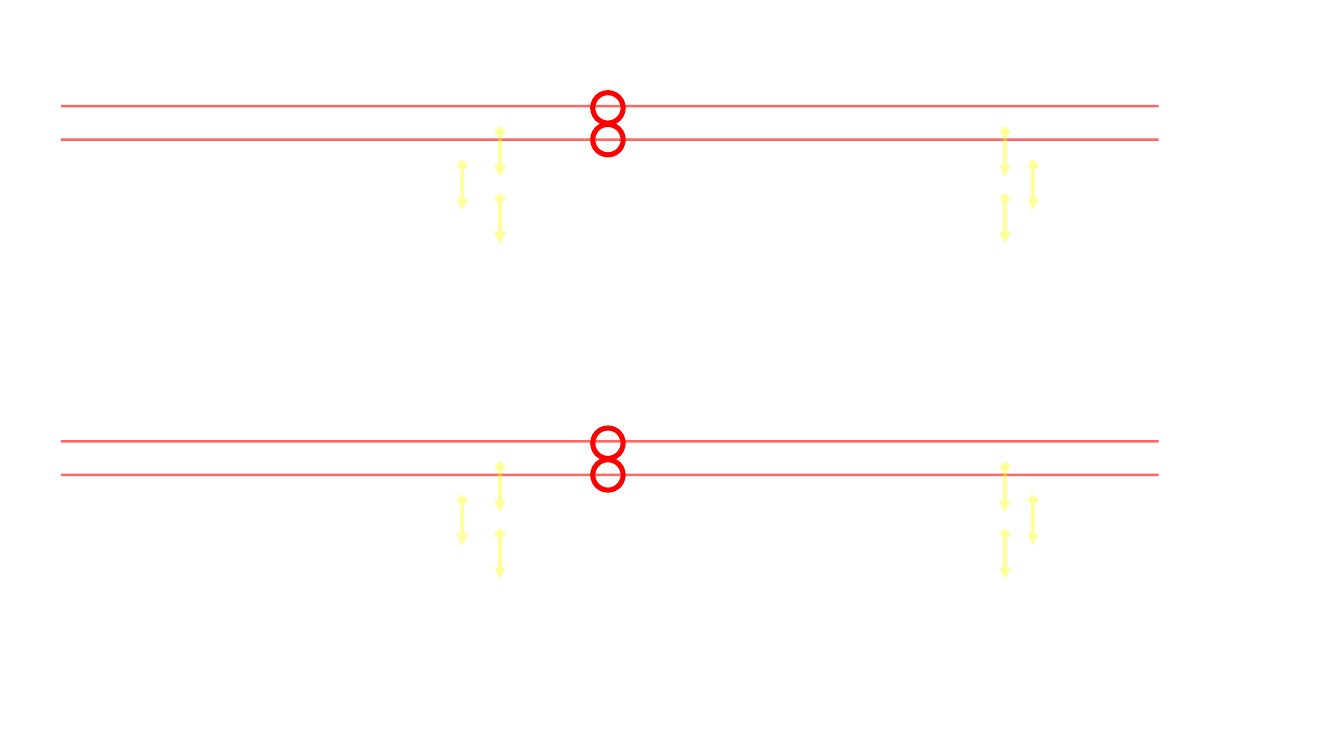
from lxml.etree import SubElement
from pptx import Presentation
from pptx.dml.color import RGBColor
from pptx.enum.shapes import MSO_CONNECTOR as Connector, MSO_SHAPE as Shape
from pptx.oxml.ns import qn
from pptx.util import Inches, Pt


def color(value):
    return RGBColor.from_string(value)


class Painter:
    beam = {"color": "FF0000", "width": 1.5, "opacity": 60}
    arrow = {"color": "FFFF00", "width": 2.3, "opacity": 40,
             "ends": {"headEnd": "diamond", "tailEnd": "triangle"}}
    ring = {"color": "FF0000", "width": 3}

    def __init__(self, page):
        self.page = page

    def stroke(self, shape, style):
        shape.line.fill.solid()
        shape.line.fill.fore_color.rgb = color(style["color"])
        for name, value in {"width": Pt(style["width"])}.items():
            setattr(shape.line, name, value)
        outline = shape.line._get_or_add_ln()
        if "opacity" in style:
            tint = outline.find(".//" + qn("a:srgbClr"))
            SubElement(tint, qn("a:alpha"), val=str(style["opacity"] * 1000))
        for end, kind in style.get("ends", {}).items():
            SubElement(outline, qn("a:" + end), type=kind)

    def add_line(self, start, finish, style):
        points = [Inches(value) for value in (*start, *finish)]
        line = self.page.shapes.add_connector(Connector.STRAIGHT, *points)
        self.stroke(line, style)
        SubElement(line._element.spPr, qn("a:effectLst"))

    def add_beam(self, top):
        self.add_line((0.5, top), (9.5, top), self.beam)

    def add_arrow(self, left, top):
        self.add_line((left, top), (left, top + 0.37), self.arrow)

    def add_ring(self, left, top):
        frame = [Inches(value) for value in (left, top, 0.25, 0.25)]
        ring = self.page.shapes.add_shape(Shape.OVAL, *frame)
        ring.shadow.inherit = False
        ring.fill.background()
        self.stroke(ring, self.ring)


def draw_system(painter, top):
    step = 0.275
    inner_columns = (8.24, 4.1)
    outer_columns = (8.47, 3.79)
    for row in range(2):
        painter.add_beam(top + row * step)
    for inner, outer in zip(inner_columns, outer_columns):
        for row, left in enumerate((inner, outer, inner)):
            painter.add_arrow(left, top + 0.21 + row * step)
    for row in range(2):
        painter.add_ring(4.86, top - 0.11 + row * 0.26)


def main():
    deck = Presentation()
    size = {"slide_width": Inches(11.02), "slide_height": Inches(6.2)}
    for name, value in size.items():
        setattr(deck, name, value)
    painter = Painter(deck.slides.add_slide(deck.slide_layouts[6]))
    for top in (0.87, 3.62):
        draw_system(painter, top)
    deck.save("out.pptx")


if __name__ == "__main__":
    main()
